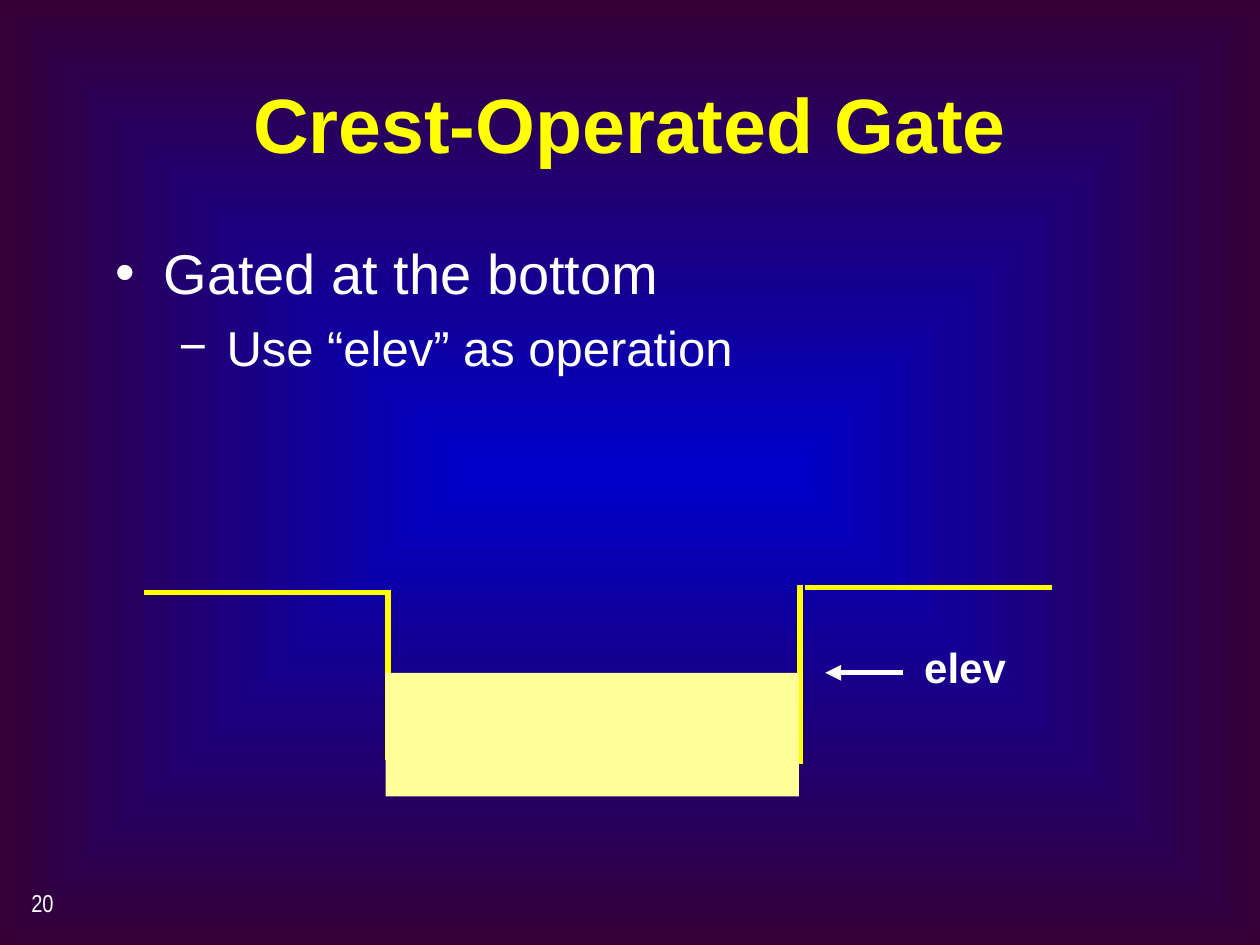
from lxml.etree import SubElement
from pptx import Presentation
from pptx.dml.color import RGBColor
from pptx.enum.shapes import MSO_CONNECTOR, MSO_SHAPE
from pptx.enum.text import MSO_ANCHOR, PP_ALIGN
from pptx.oxml.ns import qn
from pptx.util import Inches, Pt

YELLOW, WHITE, PALE_YELLOW = "FFFF00", "FFFFFF", "FFFF99"
BLUE, PURPLE = "0000CC", "360036"


def color(value):
    return RGBColor.from_string(value)


class SlideBuilder:
    """Draws styled elements on one slide."""

    font = "Arial"
    line_width = 3

    def __init__(self, slide):
        self.slide = slide

    def background(self, center, edge):
        fill = self.slide.background.fill
        fill.gradient()
        for stop, value in zip(fill.gradient_stops, (center, edge)):
            stop.color.rgb = color(value)
        gradient = self.slide.element.find(".//" + qn("a:gradFill"))
        gradient.remove(gradient.find(qn("a:lin")))
        focus = SubElement(gradient, qn("a:path"), path="rect")
        SubElement(focus, qn("a:fillToRect"),
                   {side: "50000" for side in "ltrb"})

    def text(self, place, lines, size, fill=WHITE, bold=False, font=None,
             align=PP_ALIGN.LEFT, anchor=MSO_ANCHOR.TOP):
        box = self.slide.shapes.add_textbox(*map(Inches, place))
        frame = box.text_frame
        frame.word_wrap = True
        frame.vertical_anchor = anchor
        frame.text = "\n".join(lines)
        for para in frame.paragraphs:
            para.alignment = align
            for span in para.runs:
                span.font.name = font or self.font
                span.font.size = Pt(size)
                span.font.bold = bold
                span.font.color.rgb = color(fill)
        return frame

    def bullet(self, para, mark, level, margin, size):
        para.level = level
        properties = para._p.get_or_add_pPr()
        properties.set("marL", str(Inches(margin)))
        properties.set("indent", str(Inches(-0.38)))
        mark_color = SubElement(properties, qn("a:buClr"))
        SubElement(mark_color, qn("a:srgbClr"), val=WHITE)
        SubElement(properties, qn("a:buFont"), typeface=self.font)
        SubElement(properties, qn("a:buChar"), char=mark)
        for span in para.runs:
            span.font.size = Pt(size)

    def rectangle(self, place, fill):
        shape = self.slide.shapes.add_shape(
            MSO_SHAPE.RECTANGLE, *map(Inches, place))
        shape.shadow.inherit = False
        shape.fill.solid()
        shape.fill.fore_color.rgb = color(fill)
        shape.line.fill.background()

    def line(self, points, stroke=YELLOW, arrow=False):
        connector = self.slide.shapes.add_connector(
            MSO_CONNECTOR.STRAIGHT, *map(Inches, points))
        connector.line.color.rgb = color(stroke)
        connector.line.width = Pt(self.line_width)
        if arrow:
            SubElement(connector.line._get_or_add_ln(), qn("a:tailEnd"),
                       type="triangle")
        SubElement(connector._element.spPr, qn("a:effectLst"))


def main():
    deck = Presentation()
    deck.slide_width, deck.slide_height = Inches(10), Inches(7.5)
    page = SlideBuilder(deck.slides.add_slide(deck.slide_layouts[6]))
    page.background(BLUE, PURPLE)

    # Page number and title
    page.text((0.15, 7, 2.08, 0.5), ["20"], 14, font="Arial Narrow")
    page.text((0.75, 0.35, 8.5, 1.25), ["Crest-Operated Gate"], 44, YELLOW,
              bold=True, align=PP_ALIGN.CENTER, anchor=MSO_ANCHOR.MIDDLE)

    # Bulleted text
    body = page.text((0.82, 1.84, 8.5, 4.5),
                     ["Gated at the bottom", "Use “elev” as operation"], 32)
    topic, detail = body.paragraphs
    page.bullet(topic, "•", level=0, margin=0.38, size=32)
    detail.space_before = Pt(7)
    page.bullet(detail, "−", level=1, margin=0.88, size=28)

    # Channel outline: bottom, right bank, left bank, right wall, left wall
    for points in (
        (3.09, 6.04, 6.34, 6.04),
        (6.39, 4.66, 8.35, 4.66),
        (1.14, 4.7, 3.1, 4.7),
        (6.35, 4.64, 6.35, 6.06),
        (3.08, 4.71, 3.08, 6.03),
    ):
        page.line(points)

    # Gate with its crest elevation
    page.rectangle((3.06, 5.34, 3.28, 0.98), PALE_YELLOW)
    page.text((6.68, 5.04, 1.96, 0.5), ["elev"], 24, bold=True,
              align=PP_ALIGN.CENTER)
    page.line((7.17, 5.34, 6.55, 5.34), WHITE, arrow=True)

    deck.save("out.pptx")


if __name__ == "__main__":
    main()
